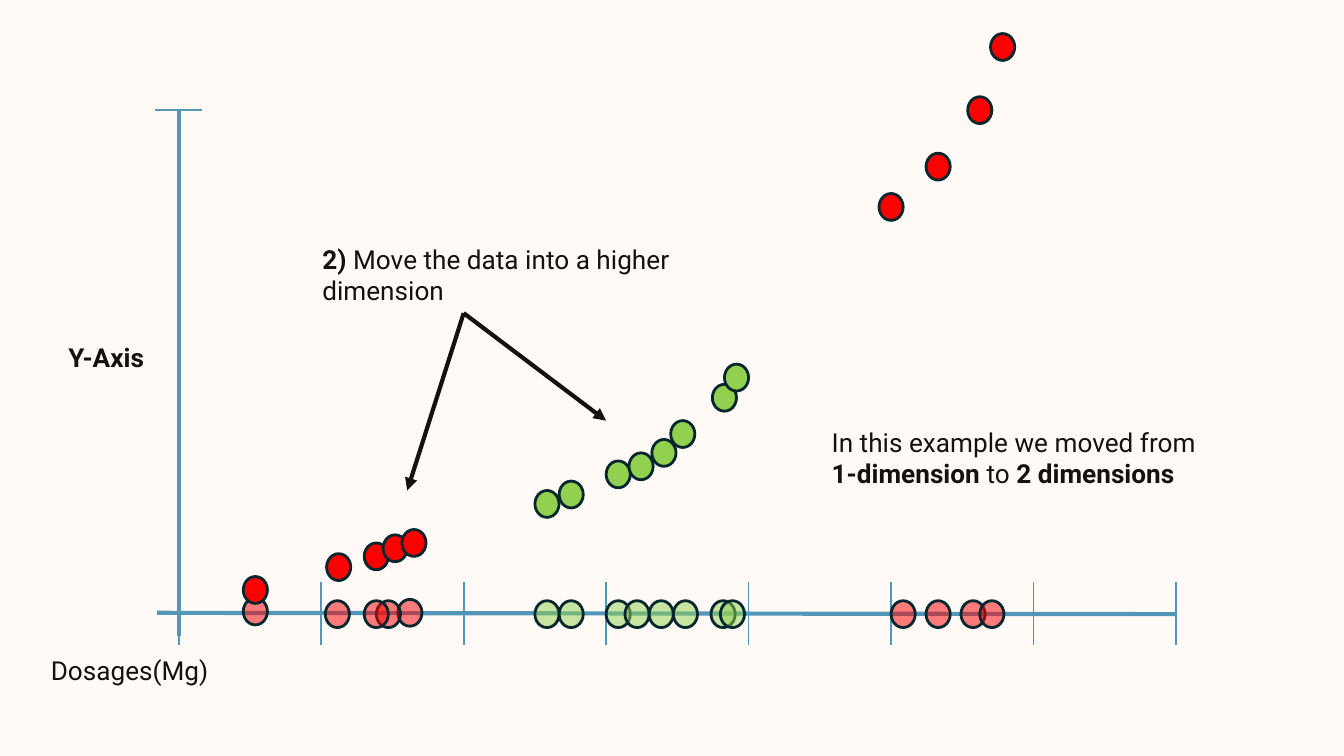
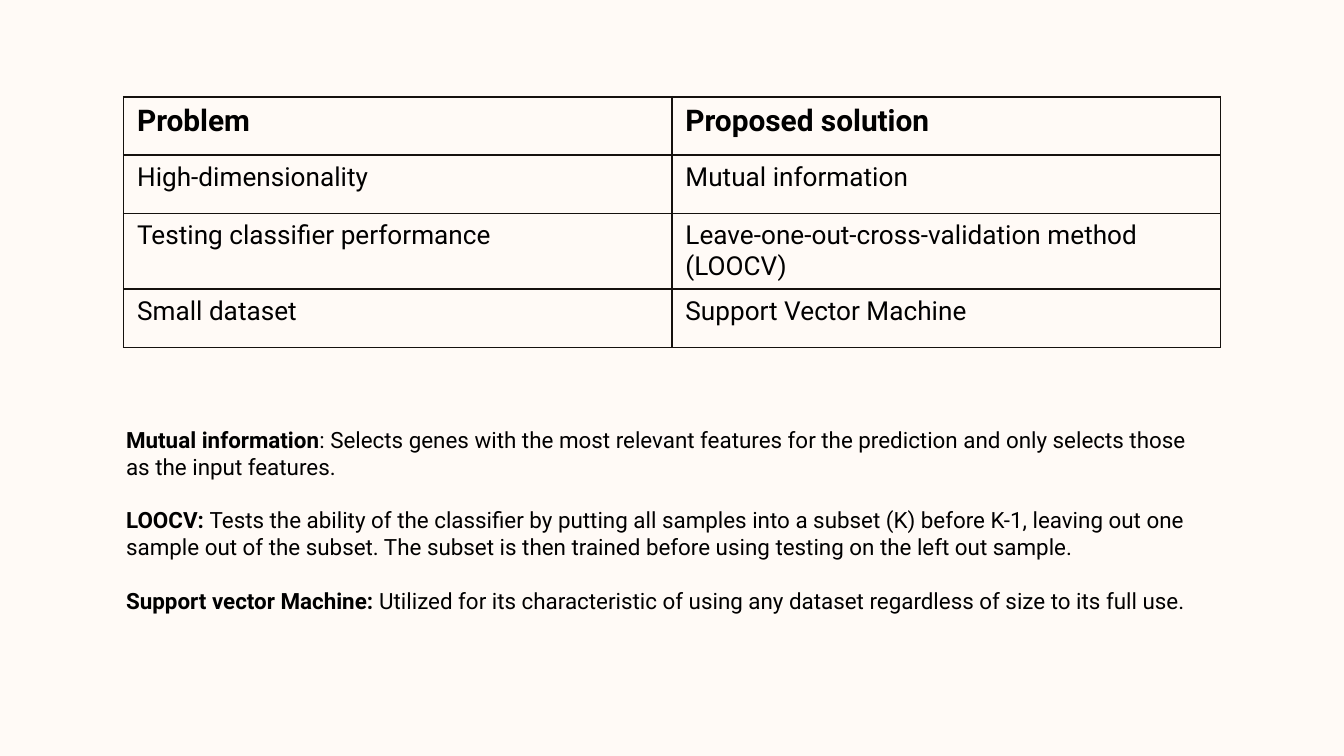
from lxml.etree import SubElement
from pptx import Presentation
from pptx.dml.color import RGBColor
from pptx.enum.shapes import MSO_CONNECTOR, MSO_SHAPE
from pptx.oxml.ns import qn
from pptx.util import Inches, Pt

COLORS = {
    "page": "FFFAF6",
    "axis": "5296B8",
    "ink": "15110E",
    "text": "000000",
    "outline": "08262E",
    "red": "FF0000",
    "green": "92D050",
}
FONT = "Roboto"
PAGE_WIDTH = 10
PAGE_HEIGHT = PAGE_WIDTH * 9 / 16
DOT_WIDTH, DOT_HEIGHT = 0.18, 0.2
TICK_COUNT, TICK_GAP = 8, 1.06

# Each dot is its distance from the Y axis and its lift above the dosage axis.
AXIS_DOTS = {
    "green": [(x, 0) for x in (2.65, 3.18, 3.32, 2.83, 3.5, 3.68, 3.96, 4.03)],
    "red": [(1.63, 0.01), (5.3, 0), (5.56, 0), (5.82, 0), (5.96, 0),
            (1.47, 0), (1.38, 0), (0.48, 0.02), (1.09, 0)],
}
RAISED_DOTS = {
    "red": [(0.48, 0.18), (1.1, 0.35), (1.38, 0.43), (1.52, 0.49), (1.66, 0.53),
            (5.21, 3.03), (5.56, 3.33), (5.87, 3.75), (6.04, 4.22)],
    "green": [(2.65, 0.82), (2.83, 0.89), (3.18, 1.04), (3.35, 1.1),
              (3.52, 1.2), (3.66, 1.34), (3.97, 1.61), (4.06, 1.76)],
}
SOLUTIONS = [
    ("Problem", "Proposed solution"),
    ("High-dimensionality", "Mutual information"),
    ("Testing classifier performance", "Leave-one-out-cross-validation method (LOOCV)"),
    ("Small dataset", "Support Vector Machine"),
]
DEFINITIONS = [
    [("Mutual information", True),
     (": Selects genes with the most relevant features for the prediction and only "
      "selects those as the input features.", False)],
    [("LOOCV: ", True),
     ("Tests the ability of the classifier by putting all samples into a subset (K) "
      "before K-1, leaving out one sample out of the subset. The subset is then trained "
      "before using testing on the left out sample.", False)],
    [("Support vector Machine: ", True),
     ("Utilized for its characteristic of using any dataset regardless of size to its "
      "full use.", False)],
]


def color(name):
    return RGBColor.from_string(COLORS[name])


def set_all(target, values):
    for name, value in values.items():
        setattr(target, name, value)


def add_page(deck):
    page = deck.slides.add_slide(deck.slide_layouts[6])
    page.background.fill.solid()
    page.background.fill.fore_color.rgb = color("page")
    return page


def write(para, spans, size, ink):
    for text, bold in spans:
        span = para.add_run()
        span.text = text
        set_all(span.font, {"name": FONT, "size": Pt(size), "bold": bold})
        span.font.color.rgb = color(ink)


def add_text(page, box, paragraphs, size=14, ink="ink", inset=0.1, gap=0):
    frame = page.shapes.add_textbox(*map(Inches, box)).text_frame
    set_all(frame, {"word_wrap": True, "margin_top": Inches(inset),
                    "margin_bottom": Inches(inset)})
    for index, spans in enumerate(paragraphs):
        para = frame.add_paragraph() if index else frame.paragraphs[0]
        para.space_after = Pt(gap)
        write(para, spans, size, ink)


def add_line(page, start, end, ink="axis", width=1.0, arrow=False):
    line = page.shapes.add_connector(MSO_CONNECTOR.STRAIGHT, *map(Inches, start + end))
    line.line.color.rgb = color(ink)
    line.line.width = Pt(width)
    if arrow:
        SubElement(line.line._get_or_add_ln(), qn("a:tailEnd"), type="triangle")
    SubElement(line._element.spPr, qn("a:effectLst"))


def add_dots(page, box, groups, opacity=100):
    left, top, width, height = box
    for fill, places in groups.items():
        for x, lift in places:
            dot = page.shapes.add_shape(
                MSO_SHAPE.OVAL, Inches(left + x),
                Inches(top + height - DOT_HEIGHT / 2 - lift),
                Inches(DOT_WIDTH), Inches(DOT_HEIGHT))
            dot.shadow.inherit = False
            dot.fill.solid()
            dot.fill.fore_color.rgb = color(fill)
            dot.line.color.rgb = color("outline")
            dot.line.width = Pt(1.5)
            if opacity < 100:
                shade = dot._element.spPr.find(qn("a:solidFill"))[0]
                SubElement(shade, qn("a:alpha"), val=str(opacity * 1000))


def add_dosage_axis(page, box):
    left, top, width, height = box
    base = top + height
    add_line(page, (left - 0.16, base - 0.01), (left + width, base), width=2.25)
    for index in range(TICK_COUNT):
        x = left + index * TICK_GAP
        add_line(page, (x, base - 0.24), (x, base + 0.23))
    add_dots(page, box, AXIS_DOTS, opacity=51)
    add_text(page, (left - 1.05, base + 0.2, 5.73, 0.79), [[("Dosages(Mg)", False)]])


def add_y_axis(page, box):
    left, top, width, height = box
    add_line(page, (left, top + height + 0.16), (left, top), width=2.25)
    add_line(page, (left - 0.18, top), (left + 0.17, top))
    add_text(page, (left - 0.92, top + 1.62, 0.87, 0.51), [[("Y-Axis", True)]])


def add_callouts(page, box):
    left, top, width, height = box
    add_text(page, (left + 0.97, top + 0.89, 2.97, 1.13),
             [[("2) ", True), ("Move the data into a higher dimension", False)]])
    add_text(page, (left + 4.76, top + 2.25, 2.97, 1.13),
             [[("In this example we moved from ", False), ("1-dimension", True),
               (" to ", False), ("2 dimensions", True)]])
    for x, y in ((1.7, 2.83), (3.18, 2.31)):
        add_line(page, (left + 2.12, top + 1.51), (left + x, top + y),
                 ink="ink", width=2.25, arrow=True)


def build_dimension_page(deck):
    page = add_page(deck)
    plot = (1.33, 0.82, 7.42, 3.75)
    add_dosage_axis(page, plot)
    add_y_axis(page, plot)
    add_dots(page, plot, RAISED_DOTS)
    add_callouts(page, plot)


def add_borders(cell):
    properties = cell._tc.get_or_add_tcPr()
    for side in ("lnL", "lnR", "lnT", "lnB"):
        edge = SubElement(properties, qn(f"a:{side}"), w=str(Pt(1)))
        fill = SubElement(edge, qn("a:solidFill"))
        SubElement(fill, qn("a:srgbClr"), val=COLORS["ink"])


def add_solution_table(page, box):
    rows, columns = len(SOLUTIONS), len(SOLUTIONS[0])
    table = page.shapes.add_table(rows, columns, *map(Inches, box)).table
    set_all(table, {"first_row": False, "horz_banding": False})
    for row, texts in enumerate(SOLUTIONS):
        for column, text in enumerate(texts):
            cell = table.cell(row, column)
            add_borders(cell)
            cell.fill.background()
            write(cell.text_frame.paragraphs[0], [(text, row == 0)],
                  14 if row else 16, "text")


def build_solution_page(deck):
    page = add_page(deck)
    add_solution_table(page, (0.92, 0.72, 8.16, 1.74))
    add_text(page, (0.84, 3.12, 8.24, 1.72), DEFINITIONS,
             size=12, ink="text", inset=0.05, gap=14.4)


def main():
    deck = Presentation()
    set_all(deck, {"slide_width": Inches(PAGE_WIDTH),
                   "slide_height": Inches(PAGE_HEIGHT)})
    build_dimension_page(deck)
    build_solution_page(deck)
    deck.save("out.pptx")


if __name__ == "__main__":
    main()
